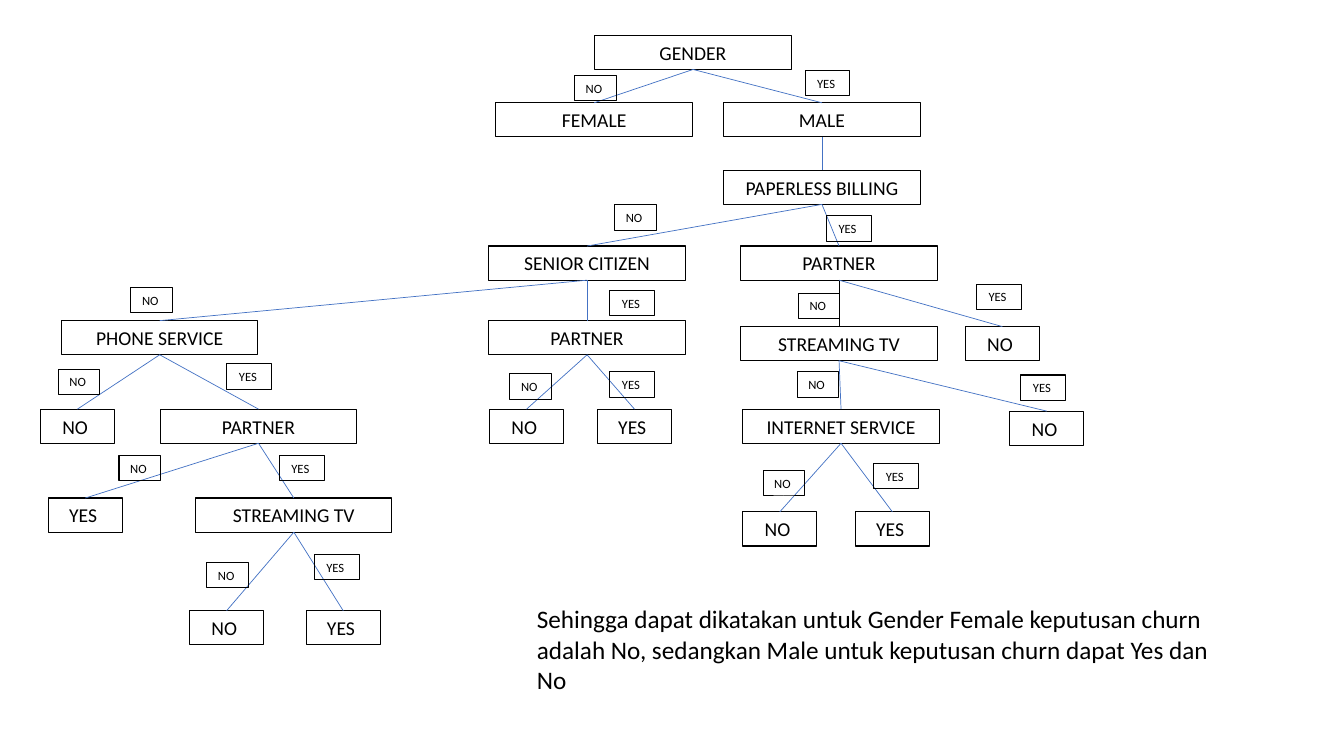
from dataclasses import dataclass
from typing import Optional

from lxml.etree import SubElement
from pptx import Presentation
from pptx.dml.color import RGBColor as Rgb
from pptx.enum.shapes import MSO_CONNECTOR as Wire, MSO_SHAPE as Form
from pptx.enum.text import MSO_ANCHOR as Anchor, PP_ALIGN as Align
from pptx.oxml.ns import qn
from pptx.shapes.autoshape import Shape
from pptx.shapes.shapetree import SlideShapes as Shapes
from pptx.text.text import TextFrame as Frame
from pptx.util import Cm, Pt


@dataclass(frozen=True)
class Theme:
    font: str = "Calibri"
    ink: Rgb = Rgb(0, 0, 0)
    blue: Rgb = Rgb(0x44, 0x72, 0xC4)
    node: float = 14
    tag: float = 9
    note: float = 18
    edge: float = 0.75
    wire: float = 0.5


@dataclass(frozen=True)
class Tag:
    text: str
    left: float
    top: float


@dataclass(frozen=True)
class Node:
    text: str
    left: float
    top: float
    tag: Optional[Tag] = None
    kids: tuple["Node", ...] = ()
    dark: bool = False


THEME = Theme()
NO, YES = "NO ", "YES "
WIDE, SLIM, TALL = 4.95, 1.86, 0.86
TAGS = {NO: 1.05, YES: 1.13}
LOW = 0.64
NOTE = (
    "Sehingga dapat dikatakan untuk Gender Female keputusan churn adalah No, "
    "sedangkan Male untuk keputusan churn dapat Yes dan No"
)

PHONE = Node("PHONE SERVICE", 1.55, 8.08, Tag(NO, 3.3, 7.24), (
    Node(NO, 1.02, 10.31, Tag(NO, 1.47, 9.3)),
    Node("PARTNER", 4.04, 10.31, Tag(YES, 5.72, 9.17), (
        Node(YES, 1.22, 12.55, Tag(NO, 3, 11.48)),
        Node("STREAMING TV", 4.93, 12.55, Tag(YES, 7.04, 11.48), (
            Node(NO, 4.78, 15.39, Tag(NO, 5.21, 14.17)),
            Node(YES, 7.72, 15.39, Tag(YES, 7.92, 13.97)),
        )),
    )),
))
SENIOR = Node("SENIOR CITIZEN", 12.32, 6.2, Tag(NO, 15.49, 5.16), (
    PHONE,
    Node("PARTNER", 12.32, 8.08, Tag(YES, 15.37, 7.32), (
        Node(NO, 12.34, 10.31, Tag(NO, 12.85, 9.42)),
        Node(YES, 15.06, 10.31, Tag(YES, 15.37, 9.37)),
    )),
))
STREAM = Node("STREAMING TV", 18.67, 8.23, Tag(NO, 20.12, 7.39), (
    Node("INTERNET SERVICE", 18.72, 10.31, Tag(NO, 20.09, 9.37), (
        Node(NO, 18.72, 12.9, Tag(NO, 19.23, 11.86)),
        Node(YES, 21.56, 12.9, Tag(YES, 22.02, 11.68)),
    )),
    Node(NO, 25.45, 10.36, Tag(YES, 25.73, 9.45)),
), dark=True)
PARTNER = Node("PARTNER", 18.67, 6.2, Tag(YES, 20.83, 5.44), (
    STREAM,
    Node(NO, 24.33, 8.23, Tag(YES, 24.61, 7.16)),
))
BILLING = Node("PAPERLESS BILLING", 18.24, 4.29, kids=(SENIOR, PARTNER))
ROOT = Node("GENDER", 14.99, 0.89, kids=(
    Node("FEMALE", 12.5, 2.59, Tag(NO, 14.48, 1.9)),
    Node("MALE", 18.24, 2.59, Tag(YES, 20.29, 1.78), (BILLING,)),
))


def write(frame: Frame, text: str, size: float, align: Align) -> None:
    para = frame.paragraphs[0]
    para.alignment = align
    run = para.add_run()
    run.text = text
    run.font.name = THEME.font
    run.font.size = Pt(size)
    run.font.color.rgb = THEME.ink


def draw_box(shapes: Shapes, item: Node | Tag, wide: float, tall: float, size: float) -> Shape:
    box = shapes.add_shape(Form.RECTANGLE, Cm(item.left), Cm(item.top), Cm(wide), Cm(tall))
    box.shadow.inherit = False
    box.fill.background()
    box.line.color.rgb = THEME.ink
    box.line.width = Pt(THEME.edge)
    box.text_frame.word_wrap = False
    box.text_frame.vertical_anchor = Anchor.MIDDLE
    write(box.text_frame, item.text, size, Align.CENTER)
    return box


def draw_link(shapes: Shapes, start: Shape, end: Shape, color: Rgb) -> None:
    link = shapes.add_connector(Wire.STRAIGHT, 0, 0, 0, 0)
    link.begin_connect(start, 2)
    link.end_connect(end, 0)
    link.line.color.rgb = color
    link.line.width = Pt(THEME.wire)
    SubElement(link._element.spPr, qn("a:effectLst"))


def draw_tree(shapes: Shapes, node: Node) -> Shape:
    wide = SLIM if node.text in TAGS else WIDE
    box = draw_box(shapes, node, wide, TALL, THEME.node)
    for kid in node.kids:
        end = draw_tree(shapes, kid)
        draw_link(shapes, box, end, THEME.ink if kid.dark else THEME.blue)
        if kid.tag:
            draw_box(shapes, kid.tag, TAGS[kid.tag.text], LOW, THEME.tag)
    return box


def main() -> None:
    deck = Presentation()
    deck.slide_width, deck.slide_height = Cm(33.87), Cm(19.05)
    shapes = deck.slides.add_slide(deck.slide_layouts[6]).shapes
    draw_tree(shapes, ROOT)
    note = shapes.add_textbox(Cm(13.28), Cm(15.09), Cm(17.83), Cm(2.57))
    note.text_frame.word_wrap = True
    write(note.text_frame, NOTE, THEME.note, Align.LEFT)
    deck.save("out.pptx")


if __name__ == "__main__":
    main()
